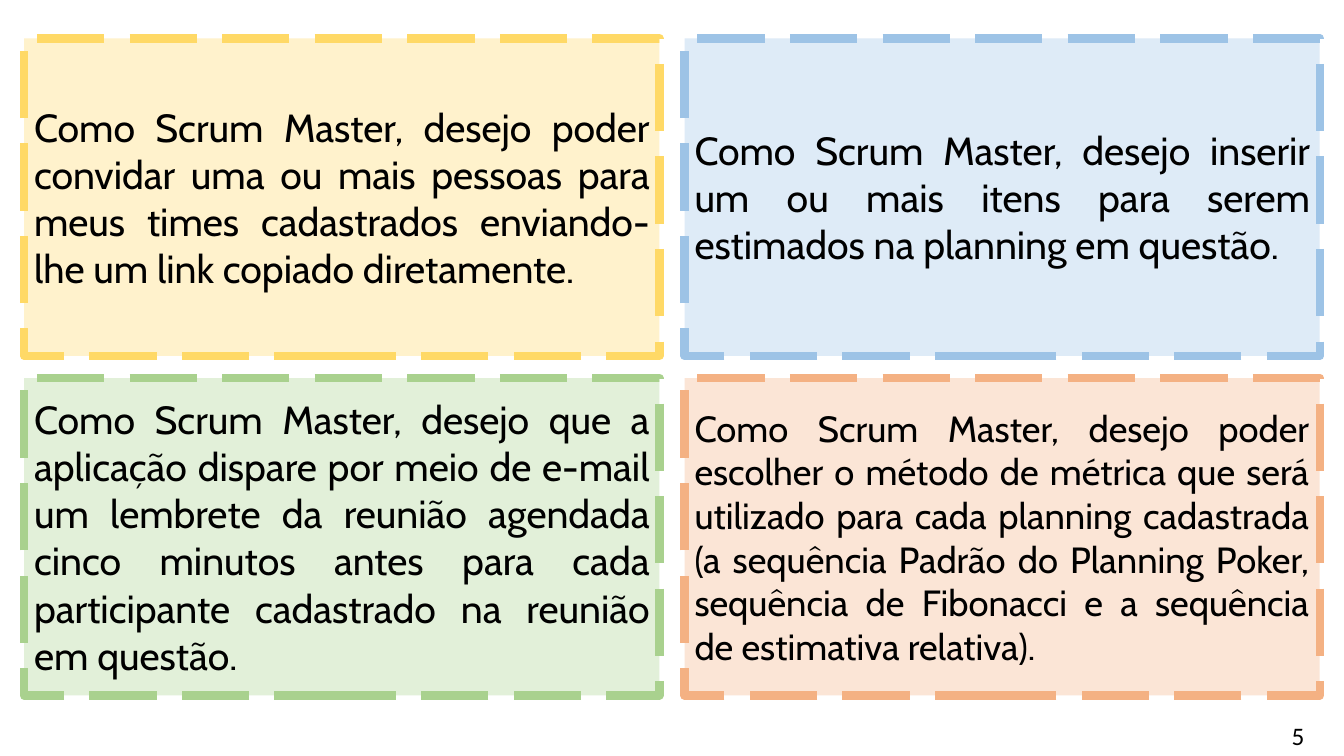
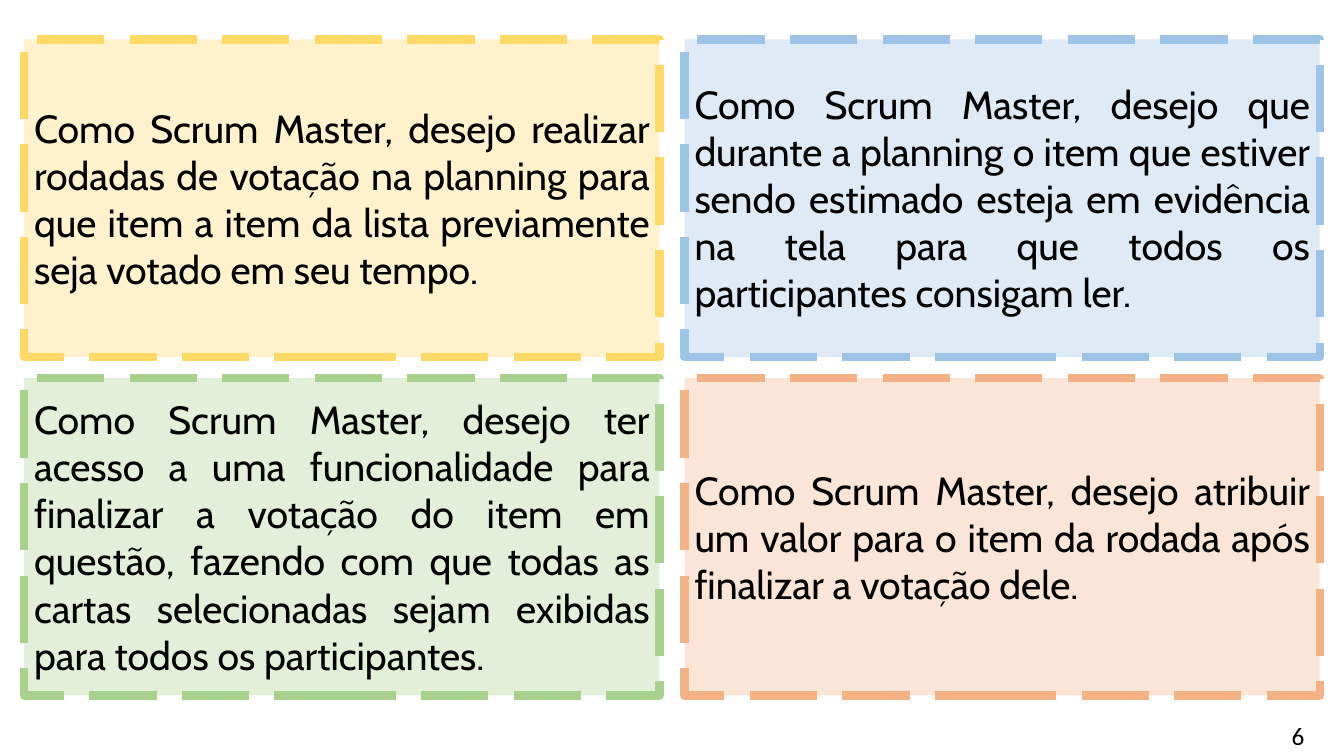
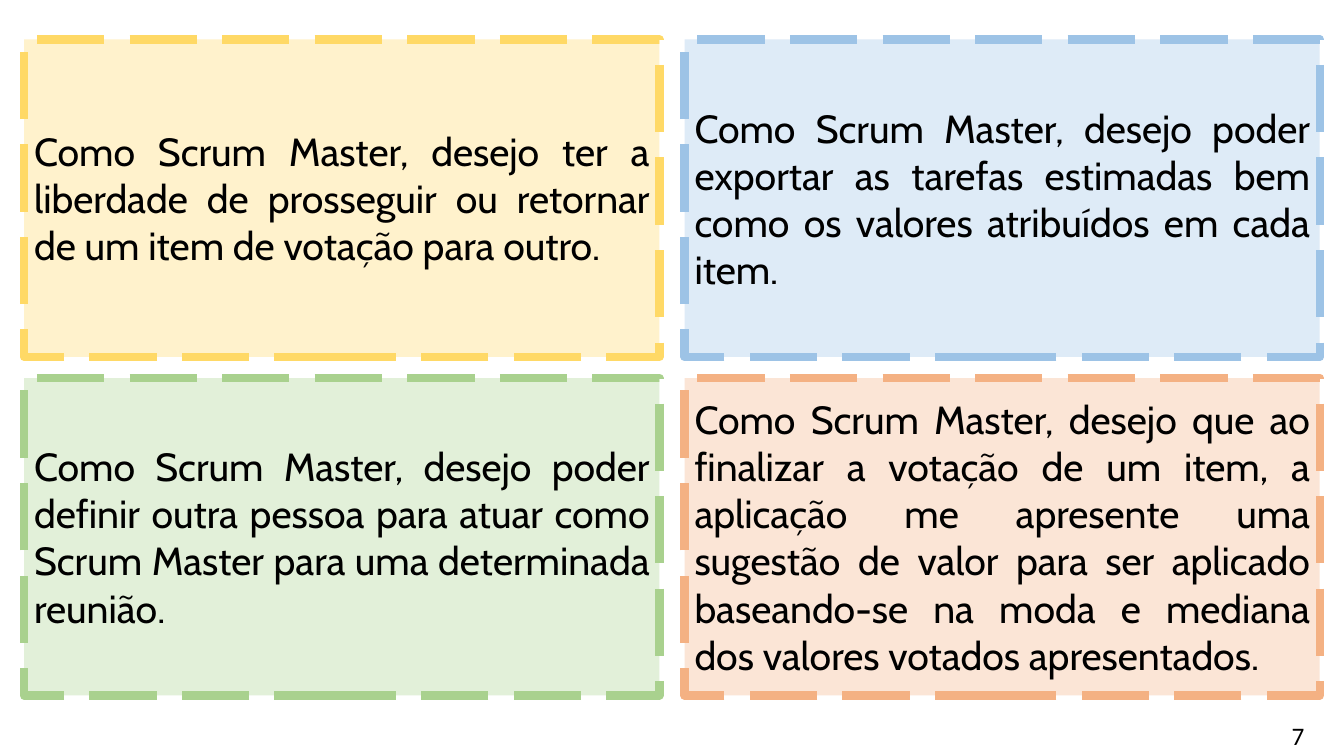
from pptx import Presentation
from pptx.dml.color import RGBColor
from pptx.enum.dml import MSO_LINE
from pptx.enum.shapes import MSO_SHAPE
from pptx.enum.text import MSO_ANCHOR, PP_ALIGN
from pptx.util import Inches, Pt

SLIDE_W, SLIDE_H = 13.33, 7.5
BLANK_LAYOUT = 6
BLACK = RGBColor(0x00, 0x00, 0x00)
STORY_FONT, NUMBER_FONT = "Cabin", "Calibri"
STORY_SIZE = 28

# Fill and border of the cards, row by row
CARD_COLOURS = [
    (RGBColor(0xFF, 0xF2, 0xCC), RGBColor(0xFF, 0xD9, 0x66)),
    (RGBColor(0xDE, 0xEB, 0xF7), RGBColor(0x9D, 0xC3, 0xE6)),
    (RGBColor(0xE2, 0xF0, 0xD9), RGBColor(0xA9, 0xD1, 0x8E)),
    (RGBColor(0xFB, 0xE5, 0xD6), RGBColor(0xF4, 0xB1, 0x83)),
]

# Card grid, in inches
COLUMNS = 2
CARD_W, CARD_H = 6.3, 3.15
MARGIN = 0.24
GUTTER = SLIDE_W - 2 * MARGIN - COLUMNS * CARD_W
LOWER_ROW_TOP = 3.75
NUMBER_W, NUMBER_H = 0.43, 0.4

FIRST_NUMBER = 5
# Top of the upper row, then the stories row by row
STORY_SLIDES = [
    (0.38, [
        "Como Scrum Master, desejo poder convidar uma ou mais pessoas para meus "
        "times cadastrados enviando-lhe um link copiado diretamente.",
        "Como Scrum Master, desejo inserir um ou mais itens para serem estimados "
        "na planning em questão.",
        "Como Scrum Master, desejo que a aplicação dispare por meio de e-mail um "
        "lembrete da reunião agendada cinco minutos antes para cada participante "
        "cadastrado na reunião em questão.",
        "Como Scrum Master, desejo poder escolher o método de métrica que será "
        "utilizado para cada planning cadastrada (a sequência Padrão do Planning "
        "Poker, sequência de Fibonacci e a sequência de estimativa relativa).",
    ]),
    (0.39, [
        "Como Scrum Master, desejo realizar rodadas de votação na planning para "
        "que item a item da lista previamente seja votado em seu tempo.",
        "Como Scrum Master, desejo que durante a planning o item que estiver sendo "
        "estimado esteja em evidência na tela para que todos os participantes "
        "consigam ler.",
        "Como Scrum Master, desejo ter acesso a uma funcionalidade para finalizar "
        "a votação do item em questão, fazendo com que todas as cartas "
        "selecionadas sejam exibidas para todos os participantes.",
        "Como Scrum Master, desejo atribuir um valor para o item da rodada após "
        "finalizar a votação dele.",
    ]),
    (0.39, [
        "Como Scrum Master, desejo ter a liberdade de prosseguir ou retornar de um "
        "item de votação para outro.",
        "Como Scrum Master, desejo poder exportar as tarefas estimadas bem como os "
        "valores atribuídos em cada item.",
        "Como Scrum Master, desejo poder definir outra pessoa para atuar como "
        "Scrum Master para uma determinada reunião.",
        "Como Scrum Master, desejo que ao finalizar a votação de um item, a "
        "aplicação me apresente uma sugestão de valor para ser aplicado "
        "baseando-se na moda e mediana dos valores votados apresentados.",
    ]),
]
LONG_STORY, LONG_STORY_SIZE = 200, 26


def write(frame, text, font, size, align):
    frame.word_wrap = True
    frame.text = text
    paragraph = frame.paragraphs[0]
    paragraph.alignment = align
    style = paragraph.runs[0].font
    style.name, style.size = font, Pt(size)
    style.color.rgb = BLACK


def add_story_card(slide, box, story, fill, border):
    card = slide.shapes.add_shape(MSO_SHAPE.RECTANGLE, *map(Inches, box))
    card.shadow.inherit = False
    card.fill.solid()
    card.fill.fore_color.rgb = fill
    card.line.color.rgb = border
    card.line.width = Pt(6)
    card.line.dash_style = MSO_LINE.LONG_DASH
    card.text_frame.vertical_anchor = MSO_ANCHOR.MIDDLE
    size = LONG_STORY_SIZE if len(story) > LONG_STORY else STORY_SIZE
    write(card.text_frame, story, STORY_FONT, size, PP_ALIGN.JUSTIFY)


def add_slide_number(slide, number):
    """Put the number in the bottom corner, flush with the right column."""
    box = (SLIDE_W - MARGIN - NUMBER_W, SLIDE_H - NUMBER_H, NUMBER_W, NUMBER_H)
    corner = slide.shapes.add_textbox(*map(Inches, box))
    write(corner.text_frame, str(number), NUMBER_FONT, 18, PP_ALIGN.CENTER)


def add_story_slide(deck, number, upper_row_top, stories):
    slide = deck.slides.add_slide(deck.slide_layouts[BLANK_LAYOUT])
    row_tops = (upper_row_top, LOWER_ROW_TOP)
    for index, (story, colours) in enumerate(zip(stories, CARD_COLOURS)):
        row, column = divmod(index, COLUMNS)
        left = MARGIN + column * (CARD_W + GUTTER)
        add_story_card(slide, (left, row_tops[row], CARD_W, CARD_H), story, *colours)
    add_slide_number(slide, number)


def main():
    deck = Presentation()
    deck.slide_width, deck.slide_height = Inches(SLIDE_W), Inches(SLIDE_H)
    for number, (top, stories) in enumerate(STORY_SLIDES, FIRST_NUMBER):
        add_story_slide(deck, number, top, stories)
    deck.save("out.pptx")


if __name__ == "__main__":
    main()
